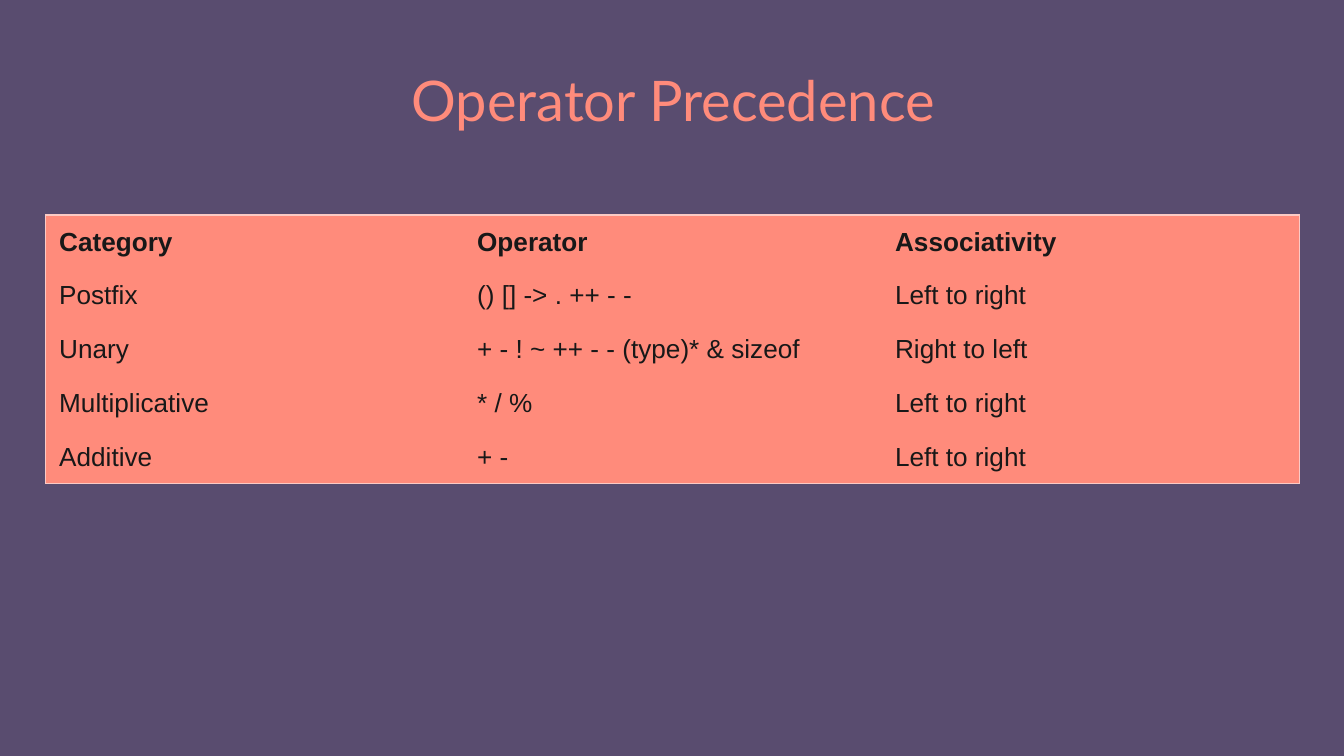
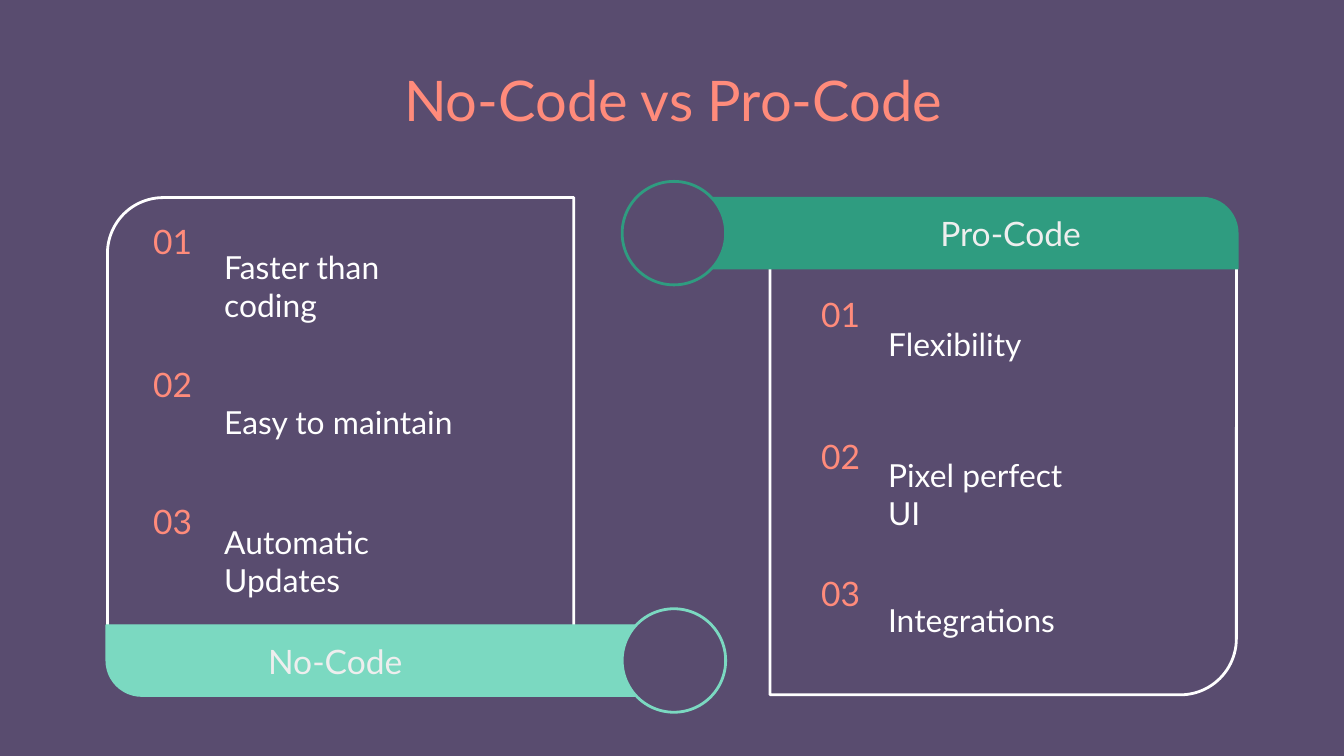
from dataclasses import dataclass

from lxml import etree
from pptx import Presentation
from pptx.dml.color import RGBColor
from pptx.enum.shapes import MSO_SHAPE
from pptx.enum.text import MSO_ANCHOR, MSO_AUTO_SIZE, PP_ALIGN
from pptx.oxml.ns import qn
from pptx.util import Inches, Pt

ROUND_CORNER = MSO_SHAPE.ROUND_1_RECTANGLE
OVAL = MSO_SHAPE.OVAL
TOP, MIDDLE = MSO_ANCHOR.TOP, MSO_ANCHOR.MIDDLE
LEFT, CENTER = PP_ALIGN.LEFT, PP_ALIGN.CENTER
TITLE_ONLY = 5


@dataclass(frozen=True)
class Theme:
    background: str = "594C6F"
    coral: str = "FF8B7B"
    border: str = "FBCAC5"
    ink: str = "181818"
    white: str = "FFFFFF"
    label: str = "EEEEEE"
    green: str = "2F9C80"
    mint: str = "7BD9C1"
    font: str = "Lato"
    table_font: str = "Arial"
    title_size: int = 30
    label_size: int = 18
    item_size: int = 17
    table_size: int = 14


THEME = Theme()

PRECEDENCE = [
    ("Category", "Operator", "Associativity"),
    ("Postfix", "() [] -> . ++ - -", "Left to right"),
    ("Unary", "+ - ! ~ ++ - - (type)* & sizeof", "Right to left"),
    ("Multiplicative", "* / %", "Left to right"),
    ("Additive", "+ -", "Left to right"),
]

# Each item: wording, top, width, height
PRO_ITEMS = [
    ("Flexibility", 2.43, 1.76, 0.25),
    ("Pixel perfect UI", 3.55, 1.76, 0.25),
    ("Integrations", 4.49, 1.76, 0.25),
]
NO_ITEMS = [
    ("Faster than coding", 2, 1.76, 0.25),
    ("Easy to maintain", 2.87, 1.97, 0.54),
    ("Automatic Updates", 3.94, 1.99, 0.46),
]
NUMBER_OFFSETS = (0, 1.06, 2.08)


def inches(values):
    return [Inches(value) for value in values]


def write_text(frame, text, *, size, color, font=THEME.font, bold=False,
               align=LEFT, anchor=MIDDLE):
    frame.word_wrap = True
    frame.vertical_anchor = anchor
    para = frame.paragraphs[0]
    para.alignment = align
    span = para.add_run()
    span.text = text
    span.font.name = font
    span.font.size = Pt(size)
    span.font.bold = bold
    span.font.color.rgb = RGBColor.from_string(color)


def set_margins(frame, margin=0.1):
    frame.margin_left = frame.margin_right = Inches(margin)
    frame.margin_top = frame.margin_bottom = Inches(margin)


def add_text(page, place, text, **text_format):
    frame = page.shapes.add_textbox(*inches(place)).text_frame
    set_margins(frame)
    write_text(frame, text, **text_format)


def add_titled_page(deck, text):
    page = deck.slides.add_slide(deck.slide_layouts[TITLE_ONLY])
    title = page.shapes.title
    title.left, title.top, title.width, title.height = inches((0.78, 0.39, 8.46, 0.63))
    set_margins(title.text_frame)
    title.text_frame.auto_size = MSO_AUTO_SIZE.NONE
    write_text(title.text_frame, text, size=THEME.title_size, color=THEME.coral,
               align=CENTER, anchor=TOP)
    return page


def add_shape(page, kind, place, *, line, width, fill=None, corner=None,
              rotation=0, mirrored=False):
    shape = page.shapes.add_shape(kind, *inches(place))
    shape.shadow.inherit = False
    shape.rotation = rotation
    if fill:
        shape.fill.solid()
        shape.fill.fore_color.rgb = RGBColor.from_string(fill)
    else:
        shape.fill.background()
    shape.line.color.rgb = RGBColor.from_string(line)
    shape.line.width = Pt(width)
    if corner is not None:
        shape.adjustments[0] = corner
    if mirrored:
        shape._element.spPr.find(qn("a:xfrm")).set("flipH", "1")


def add_border(cell, side, visible):
    line = etree.SubElement(cell._tc.get_or_add_tcPr(), qn(f"a:ln{side}"))
    if visible:
        line.set("w", str(Pt(0.75)))
        fill = etree.SubElement(line, qn("a:solidFill"))
        etree.SubElement(fill, qn("a:srgbClr")).set("val", THEME.border)
    else:
        etree.SubElement(line, qn("a:noFill"))


def add_outlined_table(page, rows, left, top, column_width, row_height):
    """Add a plain table with a border around the outside only."""
    row_count, column_count = len(rows), len(rows[0])
    place = (left, top, column_width * column_count, row_height * row_count)
    table = page.shapes.add_table(row_count, column_count, *inches(place)).table
    table.first_row = table.horz_banding = False
    for column in table.columns:
        column.width = Inches(column_width)
    for row_index, row in enumerate(rows):
        table.rows[row_index].height = Inches(row_height)
        for column_index, text in enumerate(row):
            cell = table.cell(row_index, column_index)
            add_border(cell, "L", column_index == 0)
            add_border(cell, "R", column_index == column_count - 1)
            add_border(cell, "T", row_index == 0)
            add_border(cell, "B", row_index == row_count - 1)
            cell.fill.solid()
            cell.fill.fore_color.rgb = RGBColor.from_string(THEME.coral)
            cell.margin_left = cell.margin_right = Inches(0.1)
            cell.margin_top = cell.margin_bottom = Inches(0.08)
            cell.vertical_anchor = MIDDLE
            write_text(cell.text_frame, text, size=THEME.table_size, color=THEME.ink,
                       font=THEME.table_font, bold=row_index == 0)


def add_panel(page, label, label_place, items, *, color, frame_place, bar_place,
              circle_top, number_left, number_top, item_left,
              frame_rotation=0, bar_rotation=0):
    """Add a framed numbered list with a coloured label bar ending in a circle."""
    add_shape(page, ROUND_CORNER, frame_place, line=THEME.white, width=1.5,
              corner=0.123, rotation=frame_rotation, mirrored=True)
    add_shape(page, ROUND_CORNER, bar_place, line=color, width=0.75, fill=color,
              corner=0.5, rotation=bar_rotation)
    add_shape(page, OVAL, (4.63, circle_top, 0.77, 0.77), line=color, width=1.5,
              fill=THEME.background, mirrored=True)
    add_text(page, label_place, label, size=THEME.label_size, color=THEME.label,
             align=CENTER)
    for number, (item, offset) in enumerate(zip(items, NUMBER_OFFSETS), start=1):
        text, top, width, height = item
        add_text(page, (number_left, number_top + offset, 0.51, 0.17), f"{number:02}",
                 size=THEME.label_size, color=THEME.coral, align=CENTER)
        add_text(page, (item_left, top, width, height), text,
                 size=THEME.item_size, color=THEME.white)


def main():
    deck = Presentation()
    deck.slide_width = Inches(10)
    deck.slide_height = deck.slide_width * 9 // 16
    backdrop = deck.slide_master.background.fill
    backdrop.solid()
    backdrop.fore_color.rgb = RGBColor.from_string(THEME.background)

    page = add_titled_page(deck, "Operator Precedence")
    add_outlined_table(page, PRECEDENCE, left=0.34, top=1.6, column_width=3.11,
                       row_height=0.4)

    page = add_titled_page(deck, "No-Code vs Pro-Code")
    add_panel(page, "Pro-Code", (6.14, 1.61, 2.76, 0.25), PRO_ITEMS,
              color=THEME.green, frame_place=(5.73, 1.77, 3.47, 3.4),
              bar_place=(4.99, 1.47, 4.22, 0.53), circle_top=1.35,
              number_left=6, number_top=2.25, item_left=6.51, frame_rotation=180)
    add_panel(page, "No-Code", (1.57, 4.79, 1.85, 0.25), NO_ITEMS,
              color=THEME.mint, frame_place=(0.8, 1.47, 3.47, 3.38),
              bar_place=(0.79, 4.65, 4.22, 0.53), circle_top=4.53,
              number_left=1.03, number_top=1.71, item_left=1.57, bar_rotation=180)

    deck.save("out.pptx")


if __name__ == "__main__":
    main()
